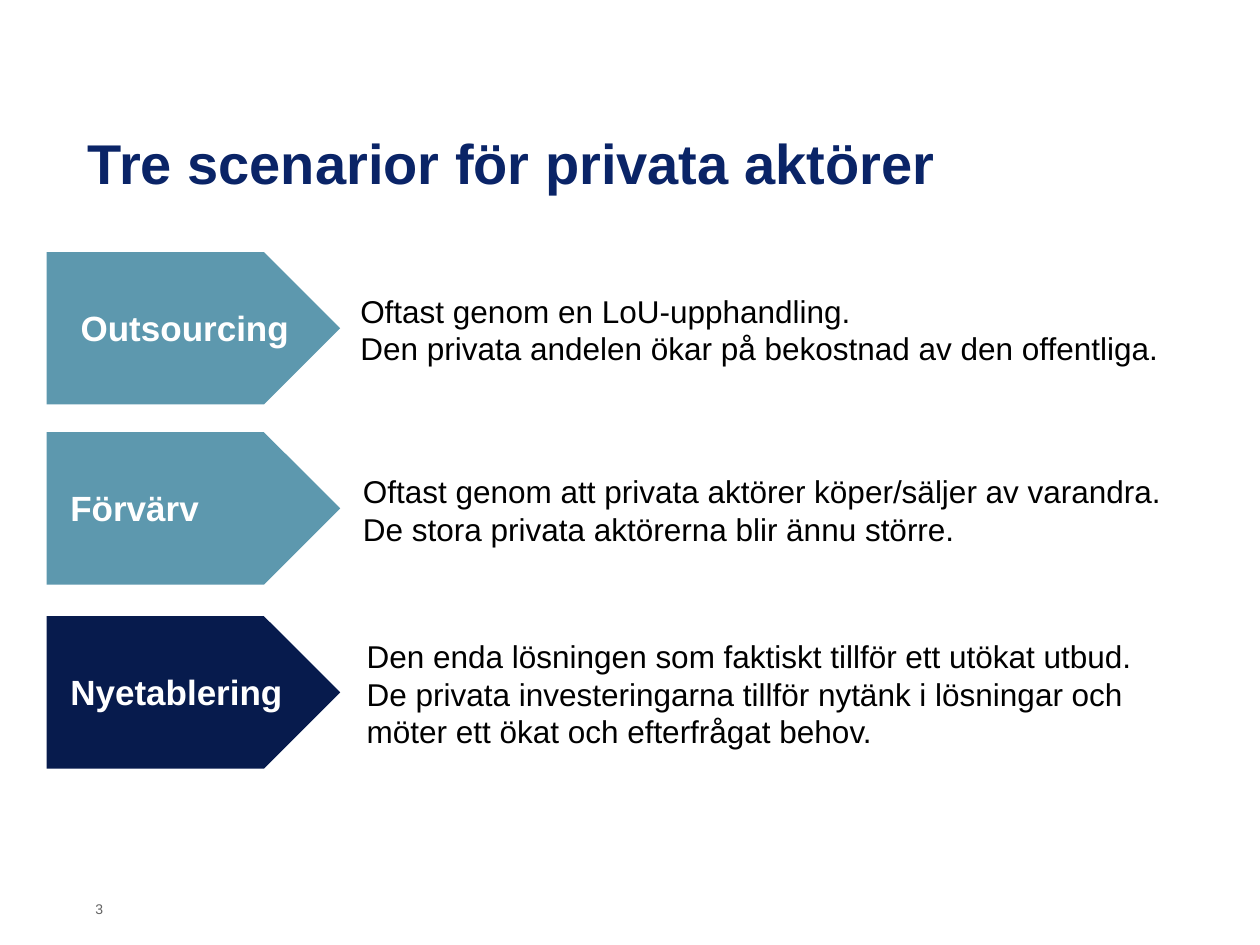
from pptx import Presentation
from pptx.dml.color import RGBColor
from pptx.enum.shapes import MSO_SHAPE
from pptx.enum.text import MSO_ANCHOR
from pptx.util import Inches, Pt

TITLE = "Tre scenarior för privata aktörer"
PAGE = "3"
TEAL, NAVY = "5D98AE", "071B4D"
# label, label indent, label width, arrow top, fill, body left, body width, body line count, body text
SCENARIOS = [
    ("Outsourcing", 0.08, 2.01, 2.0, TEAL, 2.86, 6.94, 2,
     "Oftast genom en LoU-upphandling.\v"
     "Den privata andelen ökar på bekostnad av den offentliga."),
    ("Förvärv", 0, 1.86, 3.43, TEAL, 2.88, 6.68, 2,
     "Oftast genom att privata aktörer köper/säljer av varandra.\v"
     "De stora privata aktörerna blir ännu större."),
    ("Nyetablering", 0, 1.94, 4.89, NAVY, 2.91, 6.55, 3,
     "Den enda lösningen som faktiskt tillför ett utökat utbud.\v"
     "De privata investeringarna tillför nytänk i lösningar och "
     "möter ett ökat och efterfrågat behov."),
]
ARROW_LEFT, ARROW_W, ARROW_H = 0.37, 2.33, 1.21
LABEL_LEFT, LABEL_H, LABEL_DROP = 0.46, 0.44, 0.38
LINE_H = 0.3

TITLE_FONT = {"size": Pt(32), "bold": True}
LABEL_FONT = {"size": Pt(20), "bold": True}
BODY_FONT = {"size": Pt(18)}
PAGE_FONT = {"size": Pt(8)}


def rgb(color):
    return RGBColor.from_string(color)


def add_text(s, text, box, font, color, anchor=MSO_ANCHOR.MIDDLE, wrap=True, **margins):
    """Add a text box; margins are given in inches as left, top, right or bottom."""
    sp = s.shapes.add_textbox(*map(Inches, box))
    tf = sp.text_frame
    tf.word_wrap = wrap
    tf.vertical_anchor = anchor
    for side, size in margins.items():
        setattr(tf, f"margin_{side}", Inches(size))
    p = tf.paragraphs[0]
    p.text = text
    for r in p.runs:
        for name, value in {"name": "Arial", **font}.items():
            setattr(r.font, name, value)
        r.font.color.rgb = rgb(color)


def add_arrow(s, top, color):
    sp = s.shapes.add_shape(MSO_SHAPE.PENTAGON,
                            *map(Inches, (ARROW_LEFT, top, ARROW_W, ARROW_H)))
    sp.shadow.inherit = False
    sp.fill.solid()
    sp.fill.fore_color.rgb = rgb(color)
    sp.line.fill.background()


def main():
    prs = Presentation()
    prs.slide_width, prs.slide_height = Inches(10), Inches(7.5)
    s = prs.slides.add_slide(prs.slide_layouts[6])

    add_text(s, TITLE, (0.6, 0.96, 9.1, 0.64), TITLE_FONT, "0A2467", MSO_ANCHOR.BOTTOM)
    add_text(s, PAGE, (0.66, 7.1, 0.34, 0.24), PAGE_FONT, "646464", MSO_ANCHOR.TOP, wrap=False)

    for label, indent, label_w, top, color, left, width, lines, body in SCENARIOS:
        add_arrow(s, top, color)
        add_text(s, label, (LABEL_LEFT, top + LABEL_DROP, label_w, LABEL_H),
                 LABEL_FONT, "FFFFFF", left=0.1 + indent)
        body_h = lines * LINE_H
        add_text(s, body, (left, top + (ARROW_H - body_h) / 2 + 0.01, width, body_h),
                 BODY_FONT, "000000", left=0, top=0, right=0, bottom=0)

    prs.save("out.pptx")


if __name__ == "__main__":
    main()
